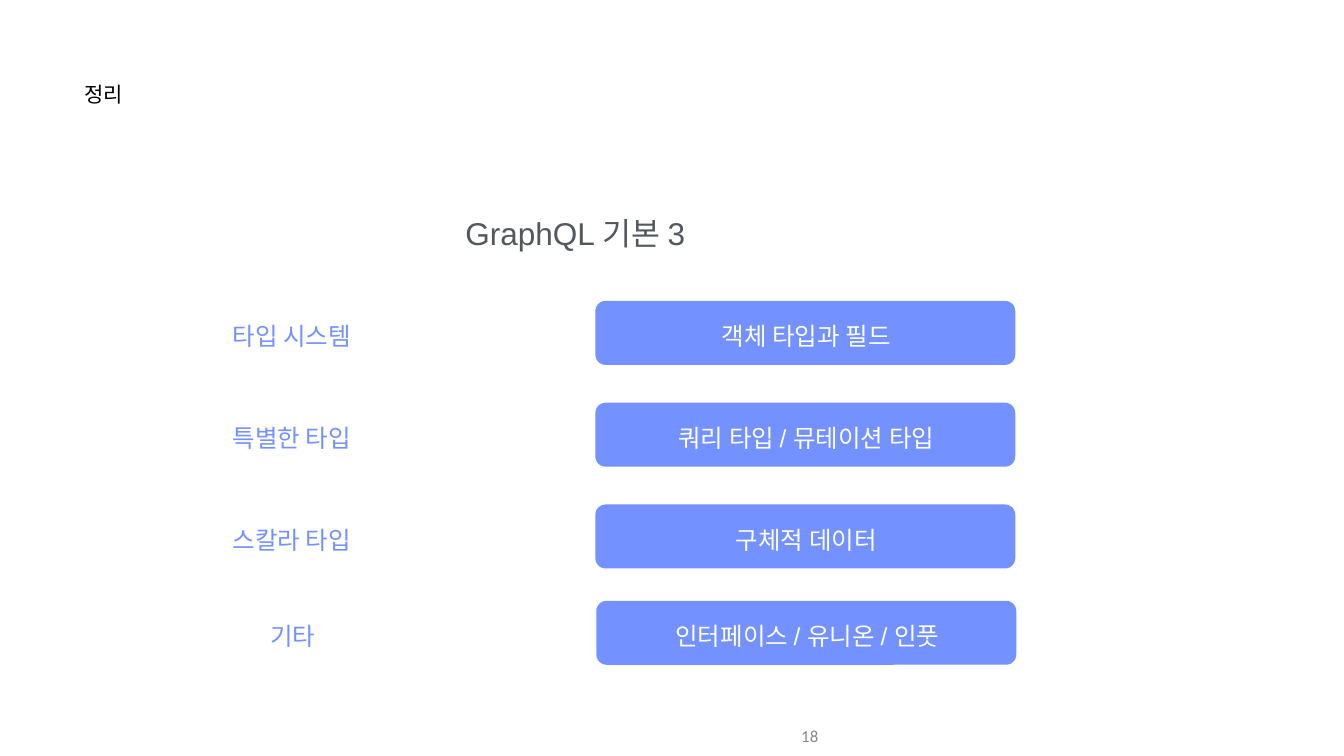
from pptx import Presentation
from pptx.dml.color import RGBColor
from pptx.enum.shapes import MSO_SHAPE as SHAPE
from pptx.enum.text import MSO_ANCHOR as ANCHOR, PP_ALIGN as ALIGN
from pptx.util import Inches, Pt

TITLE = "정리"
HEADING = "GraphQL 기본 3"
PAGE = "18"
ROWS = [
    ("타입 시스템", "객체 타입과 필드", 11.81, 5.97),
    ("특별한 타입", "쿼리 타입 / 뮤테이션 타입", 11.81, 7.99),
    ("스칼라 타입", "구체적 데이터", 11.81, 10.01),
    ("기타", "인터페이스 / 유니온 / 인풋", 11.83, 11.92),
]
COLORS = {"black": "000000", "blue": "7391FF", "white": "FFFFFF",
          "heading": "53585F", "page": "888888"}
LABEL_W, BAR_W, BAR_H = 6.25, 8.33, 1.27
LABEL_DX, TEXT_DX, TEXT_DY, TEXT_H = -9.15, 0.02, 0.38, 0.62


def color(name):
    return RGBColor.from_string(COLORS[name])


def add_text(s, text, box, sp=None, size=35, fill="blue", font="Arial",
             align=ALIGN.CENTER, anchor=ANCHOR.MIDDLE, inset=(0.01, 0.01)):
    box = [Inches(v) for v in box]
    sp = sp or s.shapes.add_textbox(*box)
    sp.left, sp.top, sp.width, sp.height = box
    tf = sp.text_frame
    tf.word_wrap = True
    tf.vertical_anchor = anchor
    tf.margin_left = tf.margin_right = Inches(inset[0])
    tf.margin_top = tf.margin_bottom = Inches(inset[1])
    p = tf.paragraphs[0]
    p.alignment = align
    r = p.add_run()
    r.text = text
    r.font.name = font
    r.font.size = Pt(size)
    r.font.color.rgb = color(fill)


def add_bar(s, left, top):
    sp = s.shapes.add_shape(SHAPE.ROUNDED_RECTANGLE, Inches(left), Inches(top),
                            Inches(BAR_W), Inches(BAR_H))
    sp.adjustments[0] = 0.16
    sp.shadow.inherit = False
    sp.fill.solid()
    sp.fill.fore_color.rgb = color("blue")
    sp.line.fill.background()


def main():
    prs = Presentation()
    prs.slide_width, prs.slide_height = Inches(26.66), Inches(15)
    s = prs.slides.add_slide(prs.slide_layouts[5])

    add_text(s, TITLE, (1.67, 1.6, 4.86, 1.18), sp=s.shapes.title, size=30,
             fill="black", align=ALIGN.LEFT, anchor=ANCHOR.TOP)
    add_text(s, HEADING, (2.64, 4.24, 17.54, 0.79), size=45, fill="heading",
             anchor=ANCHOR.TOP)
    for label, detail, left, top in ROWS:
        add_bar(s, left, top)
        y = top + TEXT_DY
        add_text(s, label, (left + LABEL_DX, y, LABEL_W, TEXT_H))
        add_text(s, detail, (left + TEXT_DX, y, BAR_W, TEXT_H), fill="white")
    add_text(s, PAGE, (10.33, 14.21, 6, 0.79), size=24, fill="page",
             font="Calibri", align=ALIGN.RIGHT, inset=(0.1, 0.05))

    prs.save("out.pptx")


if __name__ == "__main__":
    main()
